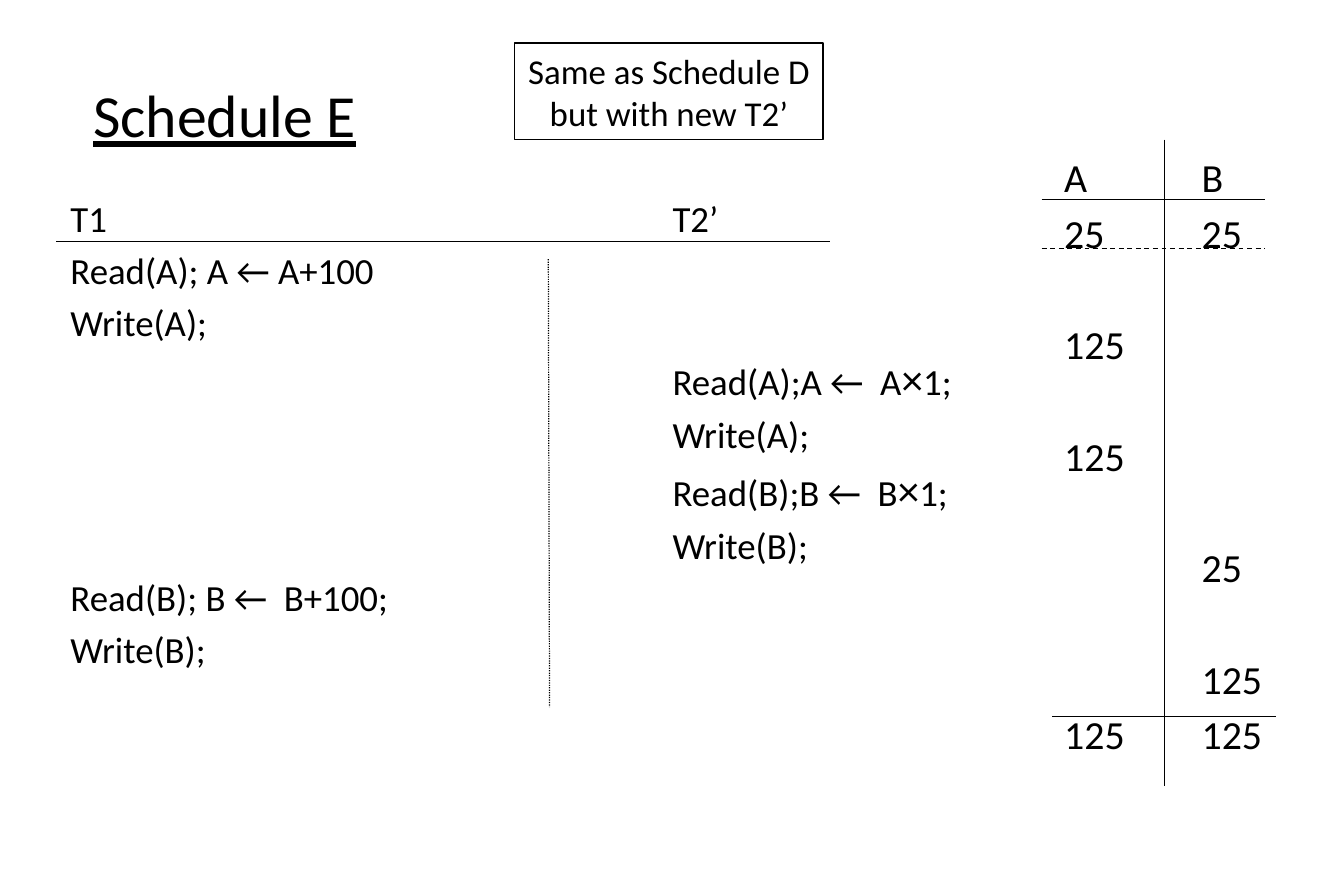
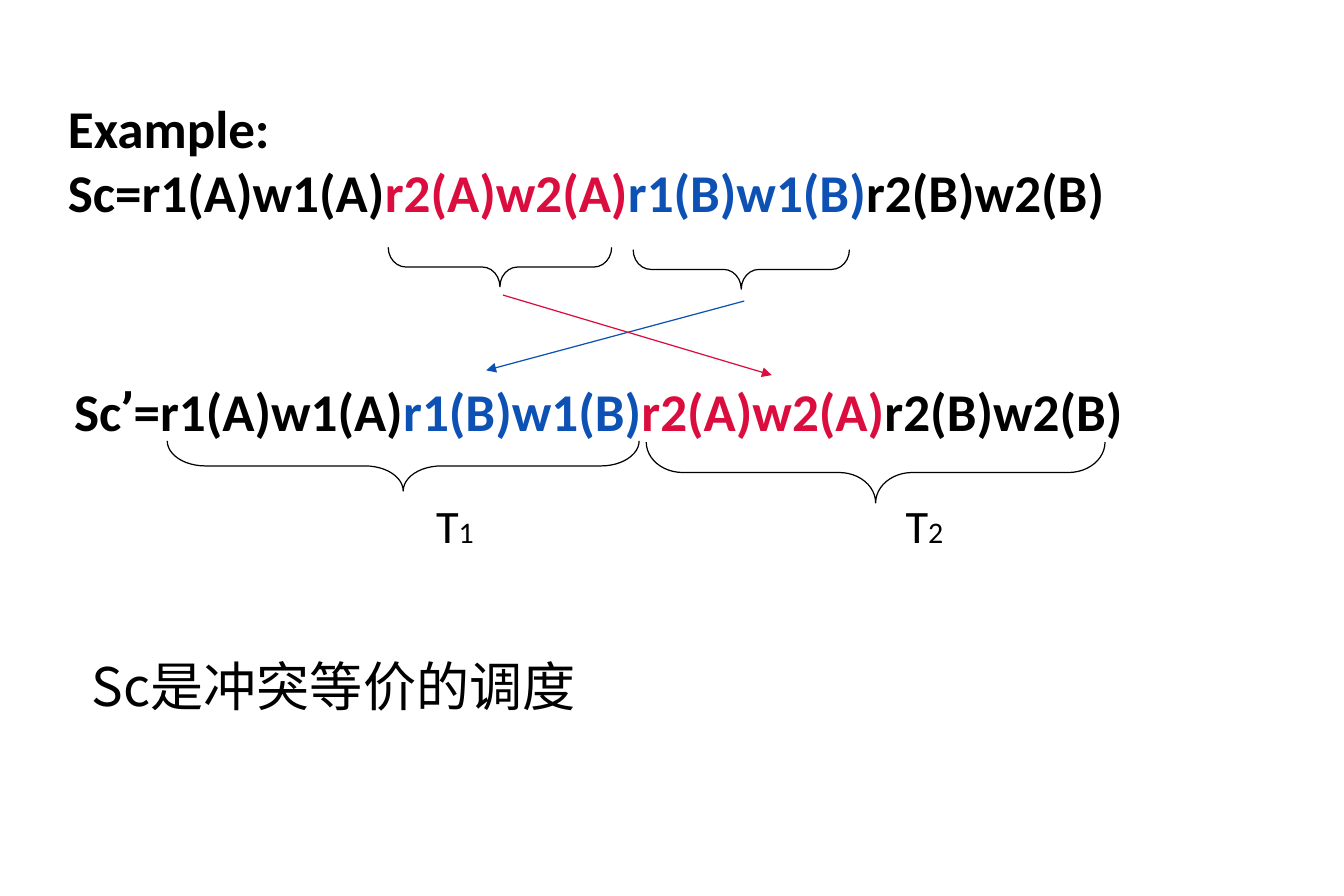
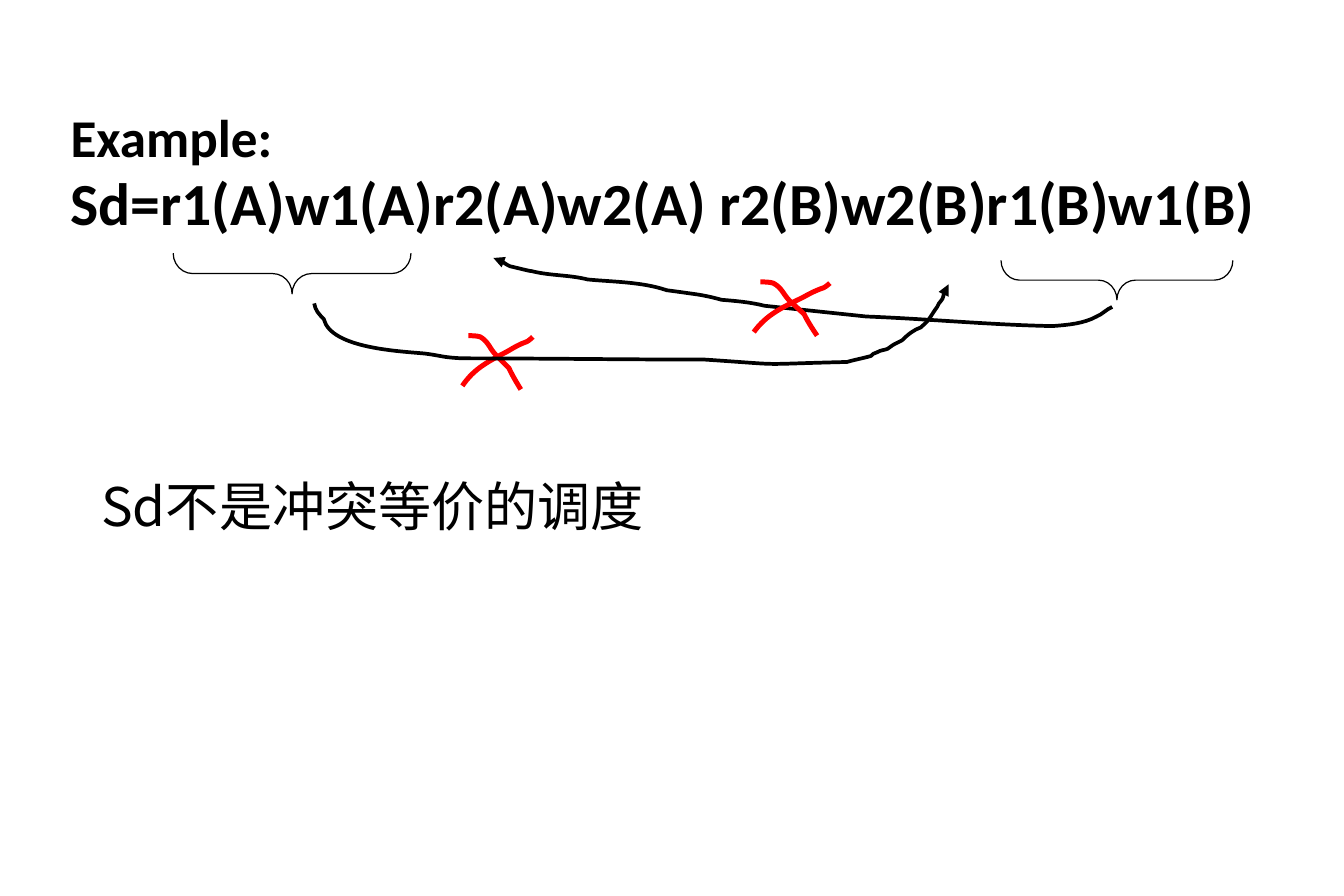
from lxml.etree import SubElement
from pptx import Presentation
from pptx.dml.color import RGBColor
from pptx.enum.dml import MSO_LINE
from pptx.enum.shapes import MSO_CONNECTOR, MSO_SHAPE
from pptx.enum.text import MSO_ANCHOR, PP_ALIGN
from pptx.oxml.ns import qn
from pptx.util import Inches, Pt

BLACK = RGBColor(0x00, 0x00, 0x00)
CRIMSON = RGBColor(0xDB, 0x0D, 0x3E)
BLUE = RGBColor(0x0D, 0x51, 0xB5)
RED = RGBColor(0xFF, 0x00, 0x00)

LATIN = "Calibri"
CHINESE = "Noto Sans CJK SC"
QUOTE_FONT = "Roboto"
HAIRLINE = 0.75

# Each curve is a start point followed by (control, control, end) triples.
B_ACTIONS_MOVE = [
    (9.31, 2.57), (9.26, 2.59), (9.23, 2.63), (9.18, 2.65),
    (9.07, 2.71), (8.94, 2.72), (8.81, 2.73), (8.29, 2.72), (7.77, 2.67), (7.25, 2.65),
    (6.97, 2.62), (6.68, 2.59), (6.4, 2.56), (6.28, 2.53), (6.16, 2.52), (6.04, 2.51),
    (5.97, 2.49), (5.88, 2.47), (5.8, 2.46), (5.73, 2.45), (5.58, 2.43), (5.58, 2.43),
    (5.38, 2.36), (5.13, 2.36), (4.92, 2.34), (4.76, 2.3), (4.61, 2.31), (4.45, 2.27),
    (4.43, 2.27), (4.32, 2.24), (4.27, 2.23), (4.21, 2.2), (4.19, 2.16), (4.13, 2.16),
]
A_ACTIONS_MOVE = [
    (2.63, 2.54), (2.64, 2.6), (2.67, 2.63), (2.71, 2.67),
    (2.77, 2.92), (3.36, 2.94), (3.56, 2.96), (3.71, 2.98), (3.69, 2.99), (3.87, 3),
    (4.55, 3), (5.22, 3.01), (5.9, 3.01), (6.65, 3.06), (6.26, 3.05), (7.09, 3.03),
    (7.16, 3.01), (7.22, 3), (7.29, 2.98), (7.3, 2.97), (7.32, 2.95), (7.34, 2.95),
    (7.37, 2.93), (7.41, 2.93), (7.43, 2.92), (7.5, 2.87), (7.47, 2.89), (7.55, 2.85),
    (7.6, 2.8), (7.65, 2.76), (7.71, 2.74), (7.79, 2.66), (7.75, 2.71), (7.83, 2.59),
    (7.84, 2.58), (7.85, 2.56), (7.86, 2.54), (7.87, 2.53), (7.89, 2.5), (7.89, 2.5),
    (7.9, 2.47), (7.9, 2.45), (7.91, 2.43), (7.92, 2.41), (7.94, 2.38), (7.94, 2.38),
]
CROSS_STROKES = [
    [(0, 0.42), (0.1, 0.27), (0.23, 0.21), (0.38, 0.13),
     (0.43, 0.1), (0.48, 0.07), (0.54, 0.05), (0.56, 0.04), (0.59, 0.01), (0.59, 0.01)],
    [(0.05, 0), (0.08, 0), (0.12, 0), (0.15, 0.01),
     (0.22, 0.05), (0.23, 0.11), (0.28, 0.16), (0.32, 0.2), (0.39, 0.27), (0.39, 0.27),
     (0.42, 0.34), (0.49, 0.45), (0.49, 0.45)],
]


def style_run(run, size, font=LATIN, color=BLACK, bold=False, underline=False):
    run.font.size = Pt(size)
    run.font.name = font
    run.font.color.rgb = color
    run.font.bold = bold
    run.font.underline = underline
    if font == CHINESE:
        SubElement(run.font._element, qn("a:ea")).set("typeface", font)


def add_runs(paragraph, parts, **style):
    """Add (text, style changes) parts on top of a common style."""
    for text, changes in parts:
        run = paragraph.add_run()
        run.text = text
        style_run(run, **{**style, **changes})


def add_text_frame(slide, left, top, width, height, inset=(0.1, 0.05), anchor=MSO_ANCHOR.TOP):
    frame = slide.shapes.add_textbox(*map(Inches, (left, top, width, height))).text_frame
    frame.word_wrap = True
    frame.vertical_anchor = anchor
    frame.margin_left = frame.margin_right = Inches(inset[0])
    frame.margin_top = frame.margin_bottom = Inches(inset[1])
    return frame


def add_line_text(slide, left, top, width, height, text, **style):
    frame = add_text_frame(slide, left, top, width, height)
    frame.text = text
    style_run(frame.paragraphs[0].runs[0], **style)


def next_paragraph(frame, index):
    return frame.add_paragraph() if index else frame.paragraphs[0]


def set_tabs(paragraph, *positions):
    tabs = SubElement(paragraph._p.get_or_add_pPr(), qn("a:tabLst"))
    for position in positions:
        SubElement(tabs, qn("a:tab"), pos=str(Inches(position)), algn="l")


def add_tail_arrow(line):
    SubElement(line._get_or_add_ln(), qn("a:tailEnd"), type="triangle")


def style_line(line, color, width):
    line.color.rgb = color
    line.width = Pt(width)


def add_rule(slide, start, end, color=BLACK, dash=None, arrow=False):
    rule = slide.shapes.add_connector(
        MSO_CONNECTOR.STRAIGHT, *map(Inches, (*start, *end)))
    style_line(rule.line, color, HAIRLINE)
    if dash:
        rule.line.dash_style = dash
    if arrow:
        add_tail_arrow(rule.line)
    SubElement(rule._element.spPr, qn("a:effectLst"))


def add_outline(slide, preset, left, top, width, height):
    outline = slide.shapes.add_shape(preset, *map(Inches, (left, top, width, height)))
    outline.shadow.inherit = False
    outline.fill.background()
    style_line(outline.line, BLACK, HAIRLINE)
    return outline


def add_brace_below(slide, left, top, span, depth=0.33, curl=0.45):
    """Brace opening upward; left, top, span and depth are as seen on the slide."""
    shift = (span - depth) / 2
    brace = add_outline(slide, MSO_SHAPE.LEFT_BRACE, left + shift, top - shift, depth, span)
    brace.rotation = 270
    brace.adjustments[0] = curl


def bend_segments(curve, points):
    """Turn the straight segments of a freeform into Bezier segments."""
    for index, segment in enumerate(list(curve._element.iter(qn("a:lnTo")))):
        bend = segment.makeelement(qn("a:cubicBezTo"))
        for x, y in points[3 * index + 1:3 * index + 4]:
            SubElement(bend, qn("a:pt"), x=str(x - curve.left), y=str(y - curve.top))
        segment.getparent().replace(segment, bend)


def add_curve(slide, points, color=BLACK, width=2.25, arrow=False):
    points = [(Inches(x), Inches(y)) for x, y in points]
    builder = slide.shapes.build_freeform(*points[0])
    builder.add_line_segments(points[3::3], close=False)
    curve = builder.convert_to_shape()
    bend_segments(curve, points)
    curve.shadow.inherit = False
    curve.fill.background()
    style_line(curve.line, color, width)
    if arrow:
        add_tail_arrow(curve.line)


def add_cross(slide, left, top, stretch=1):
    for stroke in CROSS_STROKES:
        add_curve(slide, [(left + x * stretch, top + y) for x, y in stroke], RED, 3)


def add_actions(slide):
    rows = ["T1\tT2’", "Read(A); A ← A+100", "Write(A);",
            "\tRead(A);A ←  A×1;", "\tWrite(A);", "\tRead(B);B ←  B×1;", "\tWrite(B);",
            "Read(B); B ←  B+100;", "Write(B);"]
    frame = add_text_frame(slide, 0.47, 1.58, 8.06, 4.75, inset=(0.12, 0.06))
    for index, row in enumerate(rows):
        paragraph = next_paragraph(frame, index)
        before, times, after = row.partition("×")
        gap = 5.2 if times else 4.5
        paragraph.space_before = Pt(gap if index else 0)
        set_tabs(paragraph, 5.04)
        parts = [(before, {}), (times, {"size": 25.9}), (after, {})]
        add_runs(paragraph, [part for part in parts if part[0]], size=22.2)
    add_rule(slide, (0.47, 2.02), (6.95, 2.02))
    add_rule(slide, (4.59, 2.17), (4.6, 5.92), dash=MSO_LINE.ROUND_DOT)


def add_value_trace(slide):
    """Values of A and B; a value sits on the grid row given with it."""
    pitch, gap = 33.85, 4.55
    rows = [(0, "A\tB"), (1, "25\t25"), (3, "125"), (5, "125"),
            (7, "\t25"), (9, "\t125"), (10, "125\t125")]
    frame = add_text_frame(slide, 8.81, 1.23, 1.88, 5.25)
    previous = 0
    for index, (row, text) in enumerate(rows):
        paragraph = next_paragraph(frame, index)
        paragraph.space_before = Pt(gap + (row - previous - 1) * pitch if index else 0)
        set_tabs(paragraph, 1.15)
        add_runs(paragraph, [(text, {})], size=24)
        previous = row
    for left, y, dash in ((8.72, 1.67, None), (8.72, 2.08, MSO_LINE.DASH), (8.81, 6, None)):
        add_rule(slide, (left, y), (left + 1.87, y), dash=dash)
    add_rule(slide, (9.75, 1.17), (9.75, 6.58))


def add_note(slide):
    frame = add_outline(slide, MSO_SHAPE.RECTANGLE, 4.31, 0.36, 2.58, 0.81).text_frame
    frame.word_wrap = False
    frame.vertical_anchor = MSO_ANCHOR.MIDDLE
    frame.text = "Same as Schedule D\nbut with new T2’"
    for paragraph in frame.paragraphs:
        paragraph.alignment = PP_ALIGN.CENTER
        style_run(paragraph.runs[0], 21)


def build_schedule_e(slide):
    title = add_text_frame(slide, 0.66, 0.33, 9.56, 1.25, (0.12, 0.06), MSO_ANCHOR.MIDDLE)
    title.text = "Schedule E"
    style_run(title.paragraphs[0].runs[0], 36, underline=True)
    add_actions(slide)
    add_value_trace(slide)
    add_note(slide)


def build_equivalent_example(slide):
    first, last = ("r1(A)w1(A)", {}), ("r2(B)w2(B)", {})
    t2_on_a = ("r2(A)w2(A)", {"color": CRIMSON})
    t1_on_b = ("r1(B)w1(B)", {"color": BLUE})

    swapped = add_text_frame(slide, 0.5, 3.17, 10.75, 1.86, inset=(0.12, 0.06))
    schedule = swapped.paragraphs[0]
    add_runs(schedule, [("Sc", {}), ("’", {"font": QUOTE_FONT}), ("=", {}),
                        first, t1_on_b, t2_on_a, last], size=32, bold=True)
    transactions = swapped.add_paragraph()
    transactions.space_before = Pt(36)
    set_tabs(transactions, 3.03, 6.96)
    number = {"size": 18}
    add_runs(transactions, [("\tT", {}), ("1", number), ("\tT", {}), ("2", number)], size=28)
    for paragraph in swapped.paragraphs:
        paragraph.line_spacing = 0.9

    add_brace_below(slide, 1.4, 3.69, 3.95, 0.42, 0.76)
    add_brace_below(slide, 5.41, 3.7, 3.84, 0.51, 0.6)
    add_rule(slide, (6.23, 2.52), (4.07, 3.1), BLUE, arrow=True)
    add_rule(slide, (4.21, 2.47), (6.46, 3.14), CRIMSON, arrow=True)
    example = add_text_frame(slide, 0.47, 0.75, 10.41, 1.42)
    add_runs(example.paragraphs[0], [("Example:", {})], size=32, bold=True)
    add_runs(example.add_paragraph(), [("Sc=", {}), first, t2_on_a, t1_on_b, last],
             size=32, bold=True)
    add_brace_below(slide, 3.25, 2.07, 1.87)
    add_brace_below(slide, 5.3, 2.09, 1.81)
    add_line_text(slide, 0.67, 5.42, 9.56, 2.08, "Sc是冲突等价的调度", size=32, font=CHINESE)


def build_conflicting_example(slide):
    example = add_text_frame(slide, 0.47, 0.92, 10.78, 1.22, inset=(0.12, 0.06))
    rows = [("Example:", 32, 0), ("Sd=r1(A)w1(A)r2(A)w2(A) r2(B)w2(B)r1(B)w1(B)", 36, 7)]
    for index, (text, size, gap) in enumerate(rows):
        paragraph = next_paragraph(example, index)
        paragraph.line_spacing = 0.8
        paragraph.space_before = Pt(gap)
        add_runs(paragraph, [(text, {})], size=size, bold=True)
    add_brace_below(slide, 8.38, 2.18, 1.94, curl=0.47)
    add_curve(slide, B_ACTIONS_MOVE, arrow=True)
    add_brace_below(slide, 1.45, 2.12, 1.99, 0.34, 0.48)
    add_cross(slide, 3.87, 2.81)
    add_curve(slide, A_ACTIONS_MOVE, arrow=True)
    add_cross(slide, 6.31, 2.36, stretch=1.08)
    add_line_text(slide, 0.75, 3.91, 9.56, 2.75, "Sd不是冲突等价的调度", size=32, font=CHINESE)


def main():
    deck = Presentation()
    deck.slide_width, deck.slide_height = Inches(11.25), Inches(7.5)
    for build in (build_schedule_e, build_equivalent_example, build_conflicting_example):
        build(deck.slides.add_slide(deck.slide_layouts[6]))
    deck.save("out.pptx")


if __name__ == "__main__":
    main()
